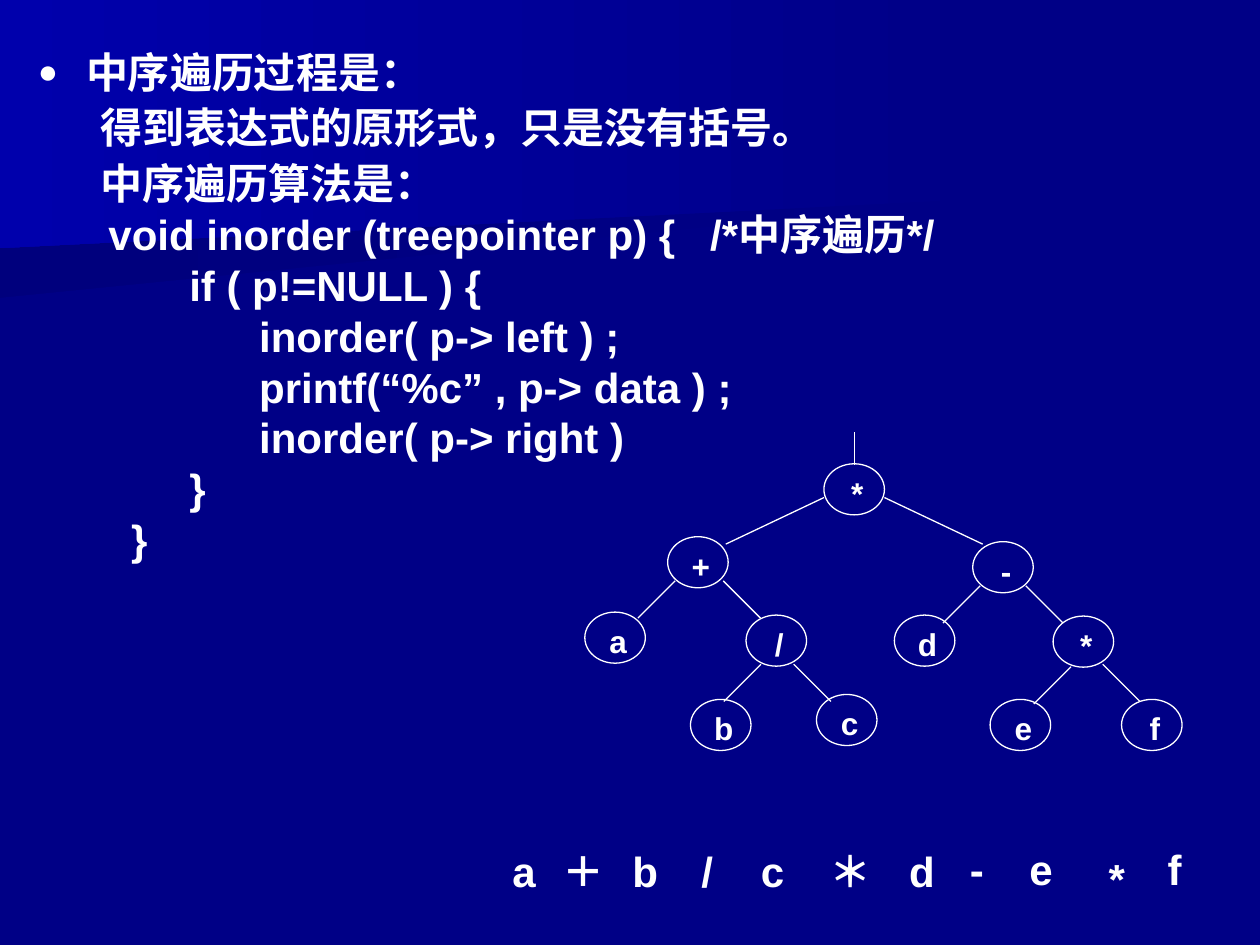
from lxml.etree import SubElement
from pptx import Presentation
from pptx.dml.color import RGBColor
from pptx.enum.shapes import MSO_CONNECTOR as Connector, MSO_SHAPE as Preset
from pptx.enum.text import MSO_ANCHOR as Anchor, MSO_AUTO_SIZE as AutoSize, PP_ALIGN as Align
from pptx.oxml.ns import qn
from pptx.util import Cm, Pt

COLORS = {"night": "000086", "deep": "00007D", "glow": "0000AC", "white": "FFFFFF"}
FONT = "Arial"
NODE_WIDTH, NODE_HEIGHT = 1.22, 1.03

BANDS = [
    ([(19.76, 3.89), (0, 5.51), (0, 2.57), (19.79, 2.57), (19.76, 3.25)], "deep"),
    ([(20.12, 4.11), (0, 5.28), (0, 0), (20.12, 0)], "glow"),
]
INTRO = [
    ("中序遍历过程是：", 0, 0.97, -0.97),
    ("得到表达式的原形式，只是没有括号。", 1, 2.06, -0.79),
    ("中序遍历算法是：", 1, 2.06, -0.79),
]
CODE = """   　void inorder (treepointer p) {   /*中序遍历*/
             if ( p!=NULL ) {
                   inorder( p-> left ) ;
                   printf(“%c” , p-> data ) ;
                   inorder( p-> right )
             }
        }"""
NODES = [
    ("*", 16.61, 9.35), ("+", 13.46, 10.82), ("-", 19.61, 10.92),
    ("a", 11.79, 12.34), ("/", 15.04, 12.4), ("d", 18.03, 12.4),
    ("*", 21.23, 12.42), ("b", 13.92, 14.1), ("c", 16.46, 14),
    ("e", 19.96, 14.1), ("f", 22.61, 14.1),
]
ROOT_EDGES = [(17.22, 8.71, 0, 0.66), (16.61, 10.03, -1.98, 0.94), (17.83, 10.03, 1.98, 0.94)]
LEFT_EDGES = [(13.61, 11.71), (15.34, 13.39), (19.76, 11.81), (21.59, 13.44)]
RIGHT_EDGES = [(14.58, 11.71), (16, 13.39), (20.68, 11.81), (22.23, 13.39)]
EDGE_STEP = 0.75
RESULT = [
    ("＊", 16.48, 16.92), ("＋", 11.1, 16.92), ("a", 10.08, 16.92),
    ("/", 13.89, 16.92), ("b", 12.5, 16.92), ("c", 15.09, 16.92),
    ("-", 19.3, 16.87), ("d", 18.08, 16.92), ("*", 22.1, 17.07),
    ("e", 20.5, 16.87), ("f", 23.29, 16.87),
]


def color(name):
    return RGBColor.from_string(COLORS[name])


def style_font(para, size):
    para.font.name = FONT
    para.font.size = Pt(size)
    para.font.bold = True
    para.font.color.rgb = color("white")


def add_band(page, points, end_color):
    builder = page.shapes.build_freeform(*points[0], scale=Cm(1))
    builder.add_line_segments(points[1:], close=True)
    band = builder.convert_to_shape()
    band.shadow.inherit = False
    band.line.fill.background()
    band.fill.gradient()
    band.fill.gradient_angle = 180
    for stop, position, name in zip(band.fill.gradient_stops, (0, 1), ("night", end_color)):
        stop.position = position
        stop.color.rgb = color(name)


def set_bullet(para, symbol=None):
    properties = para._p.get_or_add_pPr()
    if symbol is None:
        SubElement(properties, qn("a:buNone"))
        return
    bullet_color = SubElement(properties, qn("a:buClr"))
    SubElement(bullet_color, qn("a:srgbClr"), val=COLORS["white"])
    SubElement(properties, qn("a:buSzPct"), val="80000")
    SubElement(properties, qn("a:buChar"), char=symbol)


def add_body_line(para, text, level, margin, indent, spacing, before, symbol=None):
    para.text = text
    para.level = level
    para.line_spacing = spacing
    para.space_before = Pt(before)
    properties = para._p.get_or_add_pPr()
    properties.set("marL", str(Cm(margin)))
    properties.set("indent", str(Cm(indent)))
    set_bullet(para, symbol)
    style_font(para, 24)


def fill_body(body):
    body.left, body.top, body.width, body.height = Cm(0.51), Cm(0.71), Cm(24.31), Cm(11)
    frame = body.text_frame
    frame.auto_size = AutoSize.NONE
    frame.vertical_anchor = Anchor.TOP
    lines = [(*line, 1.1, 0) for line in INTRO]
    lines += [(text, 0, 0.97, -0.97, 0.8, 6) for text in CODE.split("\n")]
    for index, line in enumerate(lines):
        para = frame.add_paragraph() if index else frame.paragraphs[0]
        add_body_line(para, *line, symbol=None if index else "●")


def add_label(shapes, text, left, top, width, height, size):
    box = shapes.add_textbox(Cm(left), Cm(top), Cm(width), Cm(height))
    frame = box.text_frame
    frame.word_wrap = True
    para = frame.paragraphs[0]
    para.text = text
    style_font(para, size)
    return frame


def add_node(page, text, left, top):
    node = page.shapes.add_group_shape()
    frame = add_label(node.shapes, text, left + 0.06, top + 0.17, NODE_WIDTH, 0.86, 18)
    frame.margin_left = frame.margin_right = Cm(0.03)
    frame.margin_top = frame.margin_bottom = Cm(0.03)
    frame.paragraphs[0].alignment = Align.CENTER
    ring = node.shapes.add_shape(Preset.OVAL, Cm(left), Cm(top), Cm(NODE_WIDTH), Cm(NODE_HEIGHT))
    ring.shadow.inherit = False
    ring.fill.background()
    ring.line.color.rgb = color("white")
    ring.line.width = Pt(0.75)


def add_edge(page, x, y, across, down):
    edge = page.shapes.add_connector(
        Connector.STRAIGHT, Cm(x), Cm(y), Cm(x + across), Cm(y + down))
    edge.line.color.rgb = color("white")
    edge.line.width = Pt(0.75)
    SubElement(edge.element.spPr, qn("a:effectLst"))


def main():
    deck = Presentation()
    deck.slide_width, deck.slide_height = Cm(25.4), Cm(19.05)
    page = deck.slides.add_slide(deck.slide_layouts[1])
    page.background.fill.solid()
    page.background.fill.fore_color.rgb = color("night")
    title, body = page.placeholders
    tree = body.element.getparent()
    tree.remove(title.element)

    for points, end_color in BANDS:
        add_band(page, points, end_color)
    tree.append(body.element)
    fill_body(body)

    for node in NODES:
        add_node(page, *node)
    edges = ROOT_EDGES + [(x, y, -EDGE_STEP, EDGE_STEP) for x, y in LEFT_EDGES]
    edges += [(x, y, EDGE_STEP, EDGE_STEP) for x, y in RIGHT_EDGES]
    for edge in edges:
        add_edge(page, *edge)
    for text, left, top in RESULT:
        frame = add_label(page.shapes, text, left, top, 1.19, 1.27, 24)
        frame.auto_size = AutoSize.SHAPE_TO_FIT_TEXT
    deck.save("out.pptx")


if __name__ == "__main__":
    main()
